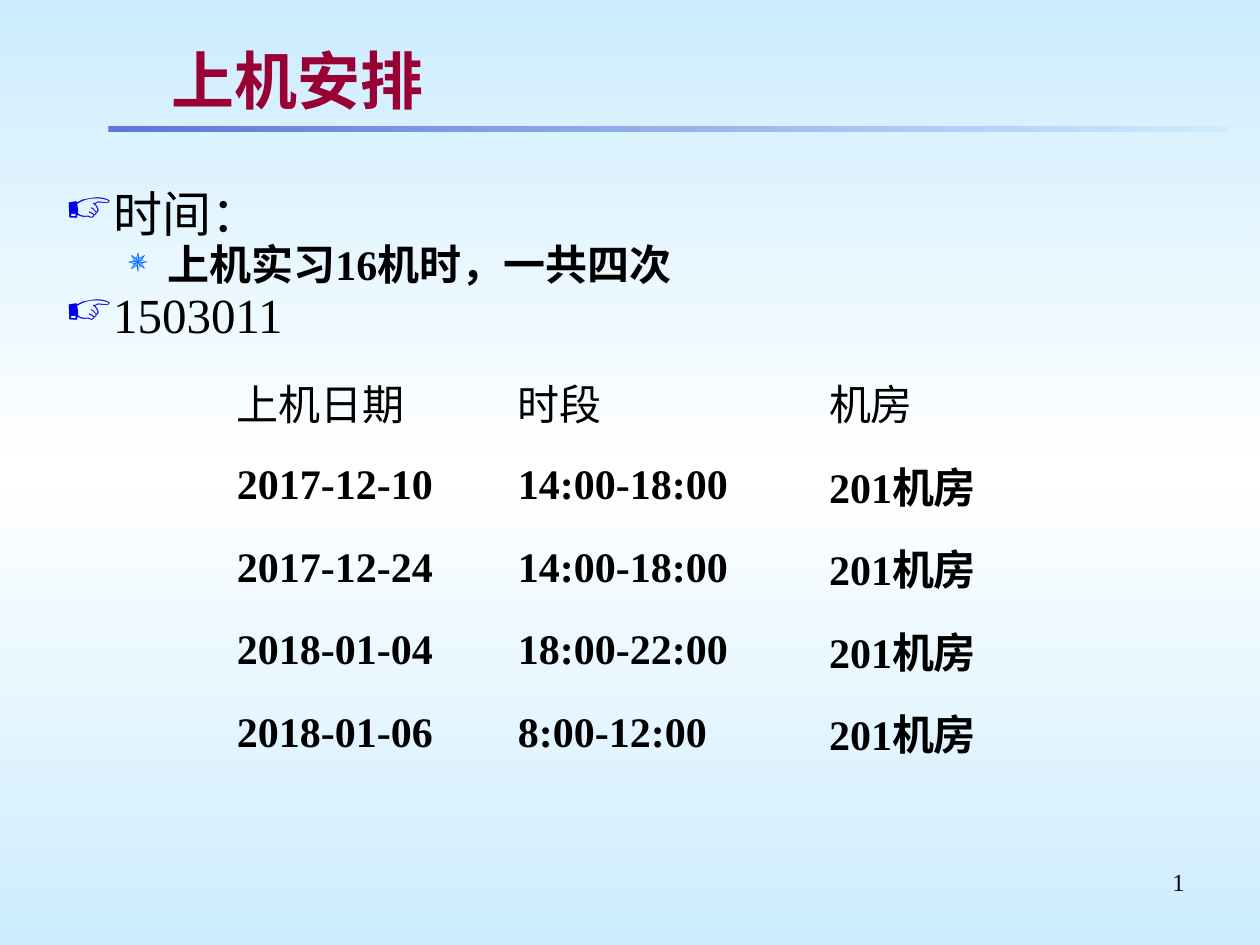
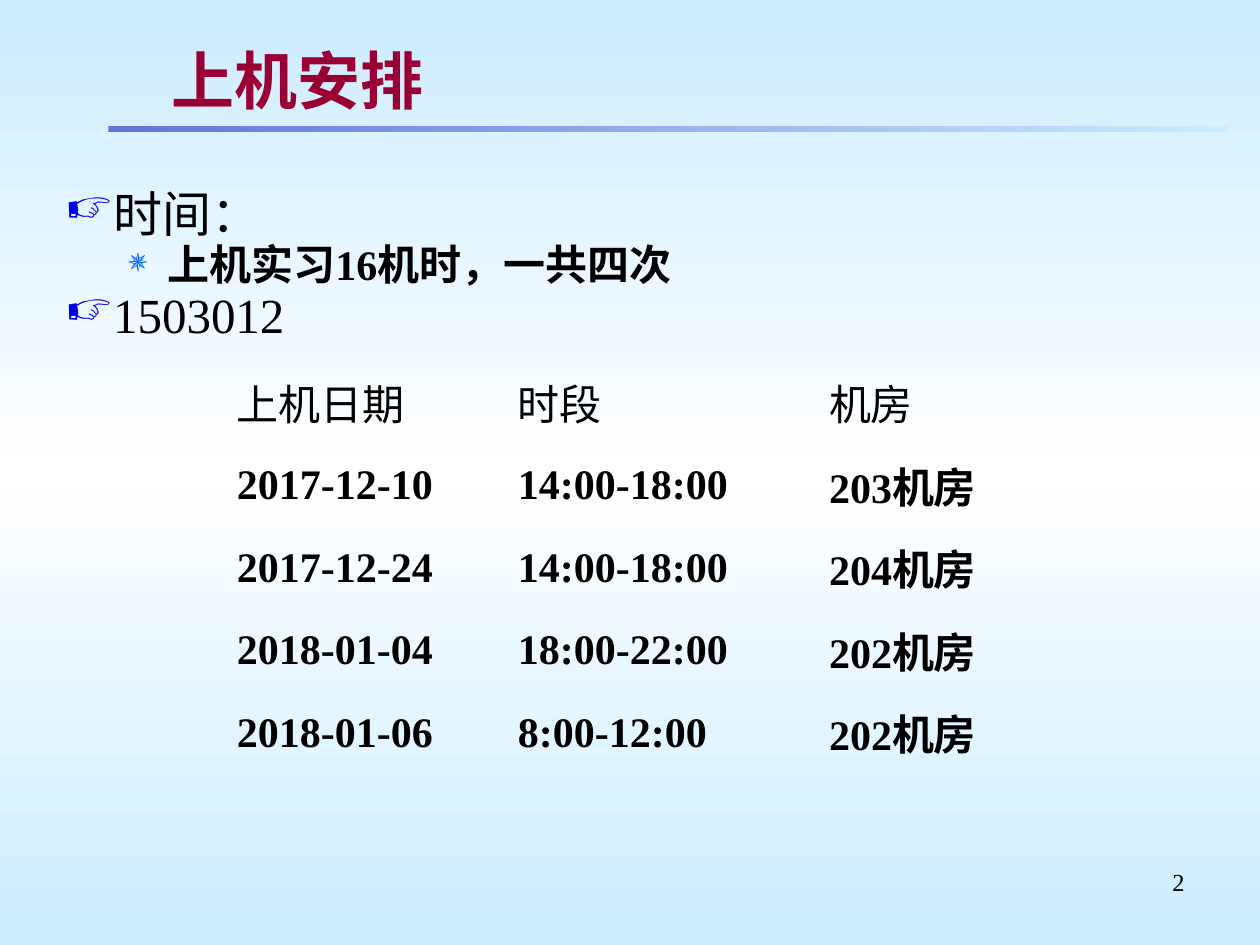
from copy import deepcopy
from lxml import etree
from pptx import Presentation
from pptx.dml.color import RGBColor
from pptx.enum.shapes import MSO_SHAPE
from pptx.enum.text import MSO_ANCHOR, PP_ALIGN
from pptx.oxml import parse_xml
from pptx.oxml.ns import qn
from pptx.util import Inches, Pt

RECT = MSO_SHAPE.RECTANGLE
MID = MSO_ANCHOR.MIDDLE
LEFT, RIGHT = PP_ALIGN.LEFT, PP_ALIGN.RIGHT
FONT = "Times New Roman"
SKY, WHITE, BLUE = "CCECFF", "FFFFFF", "5F76D7"
BLACK, WINE = "000000", "990033"
NS = 'xmlns:a="http://schemas.openxmlformats.org/drawingml/2006/main"'
SHADE = (f'<a:effectLst {NS}><a:outerShdw dist="25400" dir="2700000">'
         '<a:srgbClr val="C0C0C0"/></a:outerShdw></a:effectLst>')
NO_STYLE = "{2D5ABB26-0587-4C30-8999-92F81FD0307C}"

HAND = ("☞", "0000E8", 95)
STAR = ("✵", "0066FF", 80)
HEAD = ("上机日期", "时段", "机房")
TIMES = (("2017-12-10", "14:00-18:00"), ("2017-12-24", "14:00-18:00"),
         ("2018-01-04", "18:00-22:00"), ("2018-01-06", "8:00-12:00"))
GROUPS = (("1503011", (201, 201, 201, 201)),
          ("1503012", (203, 204, 202, 202)))


def color(code):
    return RGBColor.from_string(code)


def text(frame, words, size=24, ink=BLACK, bold=False, align=LEFT,
         line=1.0, gap=0, level=0, mark=None, left=0, hang=0):
    para = frame.paragraphs[0] if not frame.text else frame.add_paragraph()
    para.alignment, para.level = align, level
    para.line_spacing, para.space_before = line, Pt(size * gap)
    run = para.add_run()
    run.text = words
    run.font.name, run.font.size, run.font.bold = FONT, Pt(size), bold
    run.font.color.rgb = color(ink)
    if mark:
        char, tint, share = mark
        props = para._p.get_or_add_pPr()
        props.set("marL", str(Inches(left)))
        props.set("indent", str(-Inches(hang)))
        hue = etree.SubElement(props, qn("a:buClr"))
        etree.SubElement(hue, qn("a:srgbClr"), val=tint)
        etree.SubElement(props, qn("a:buSzPct"), val=str(share * 1000))
        etree.SubElement(props, qn("a:buChar"), char=char)
    return run


prs = Presentation()
prs.slide_width, prs.slide_height = Inches(10), Inches(7.5)
W, H = prs.slide_width, prs.slide_height

master = prs.slide_master
back = master.background.fill
back.gradient()
back.gradient_angle = 270
for stop, code in zip(back.gradient_stops, (SKY, SKY)):
    stop.color.rgb = color(code)
stops = master._element.find(".//" + qn("a:gsLst"))
stops.insert(1, deepcopy(stops[0]))
for stop, code, spot in zip(back.gradient_stops, (SKY, WHITE, SKY), (0, 0.5, 1)):
    stop.color.rgb, stop.position = color(code), spot

for page, (group, rooms) in enumerate(GROUPS, 1):
    slide = prs.slides.add_slide(prs.slide_layouts[6])
    shapes = slide.shapes

    bar = shapes.add_shape(RECT, int(W * 0.086), int(H * 0.1333),
                           int(W * 0.889), int(H * 0.0067))
    bar.shadow.inherit = False
    bar.line.fill.background()
    bar.fill.gradient()
    bar.fill.gradient_angle = 0
    for stop, code, spot in zip(bar.fill.gradient_stops, (BLUE, SKY), (0, 1)):
        stop.color.rgb, stop.position = color(code), spot

    foot = shapes.add_textbox(int(W * 0.717), int(H * 0.911),
                              int(W * 0.233), int(H * 0.07)).text_frame
    foot.word_wrap = True
    field = text(foot, str(page), size=14, align=RIGHT)._r
    field.tag = qn("a:fld")
    field.set("id", "{B6F15528-21DE-4FAA-801E-634DDDAF4B2B}")
    field.set("type", "slidenum")

    title = shapes.add_textbox(int(W * 0.126), int(H * 0.039),
                               int(W * 0.824), int(H * 0.089)).text_frame
    title.word_wrap, title.vertical_anchor = True, MID
    title.margin_top = title.margin_bottom = Inches(0.04)
    run = text(title, "上机安排", size=36, ink=WINE, bold=True)
    run.font.fill._xPr.find(qn("a:solidFill")).addnext(parse_xml(SHADE))

    body = shapes.add_textbox(int(W * 0.042), int(H * 0.2),
                              int(W * 0.925), int(H * 0.74)).text_frame
    body.word_wrap = True
    top = dict(size=28, line=0.8, gap=0.15, mark=HAND, left=0.38, hang=0.38)
    text(body, "时间：", **top)
    text(body, "上机实习16机时，一共四次", bold=True, line=0.8, gap=0.15,
         level=1, mark=STAR, left=0.81, hang=0.31)
    text(body, group, **top)

    rows = [HEAD] + [(*slot, f"{room}机房") for slot, room in zip(TIMES, rooms)]
    table = shapes.add_table(len(rows), len(HEAD), int(W * 0.187), int(H * 0.385),
                             int(W * 0.664), int(H * 0.4375)).table
    table.first_row = table.horz_banding = False
    table._tbl.tblPr.find(qn("a:tableStyleId")).text = NO_STYLE
    for col, share in zip(table.columns, (0.223, 0.247, 0.194)):
        col.width = int(W * share)
    for r, row in enumerate(rows):
        for c, words in enumerate(row):
            cell = table.cell(r, c)
            cell.fill.background()
            cell.vertical_anchor = MID
            cell.margin_left = cell.margin_right = cell.margin_top = Inches(0.01)
            cell.margin_bottom = 0
            text(cell.text_frame, words, bold=r > 0, line=0.8, gap=0.3)

prs.save("out.pptx")
